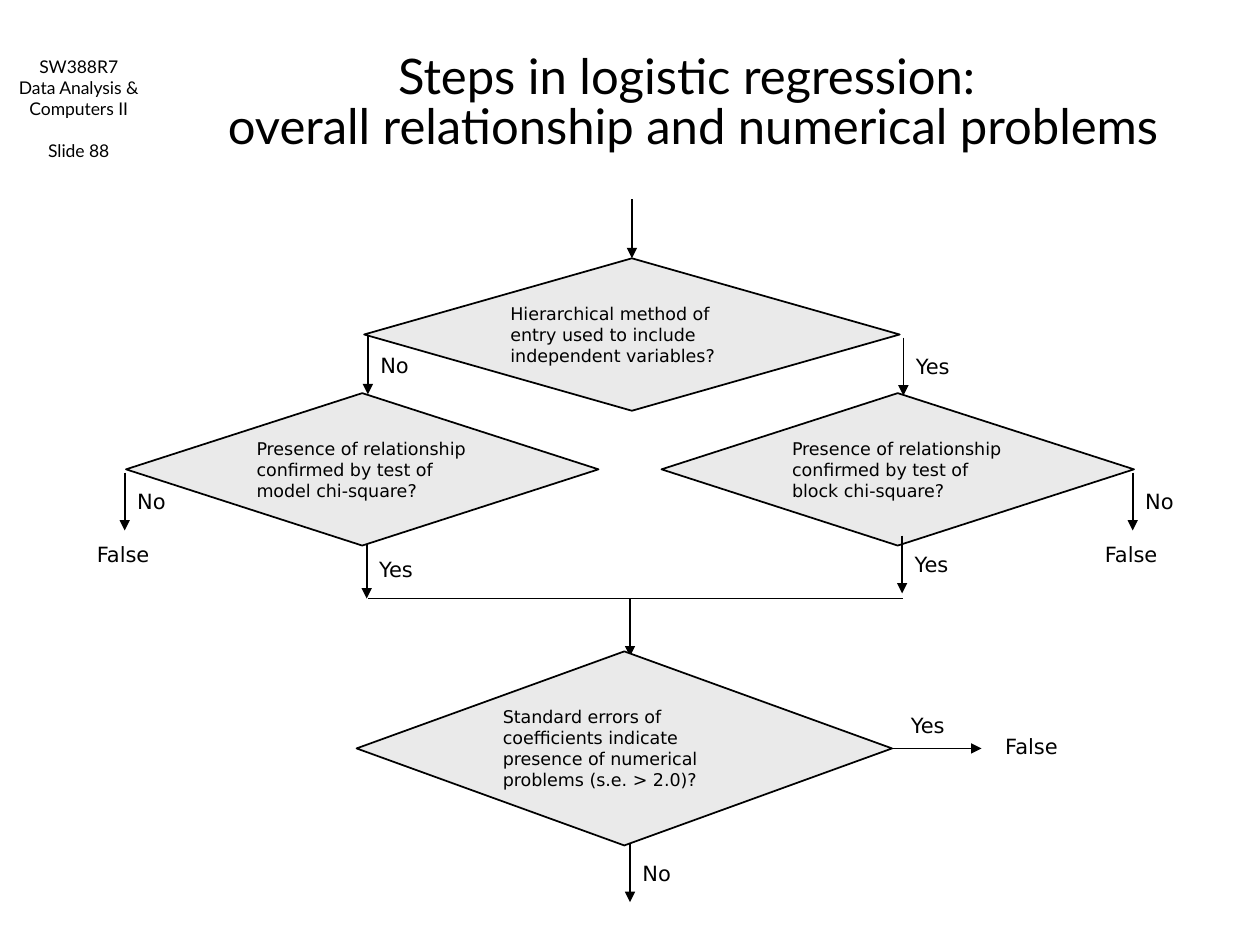
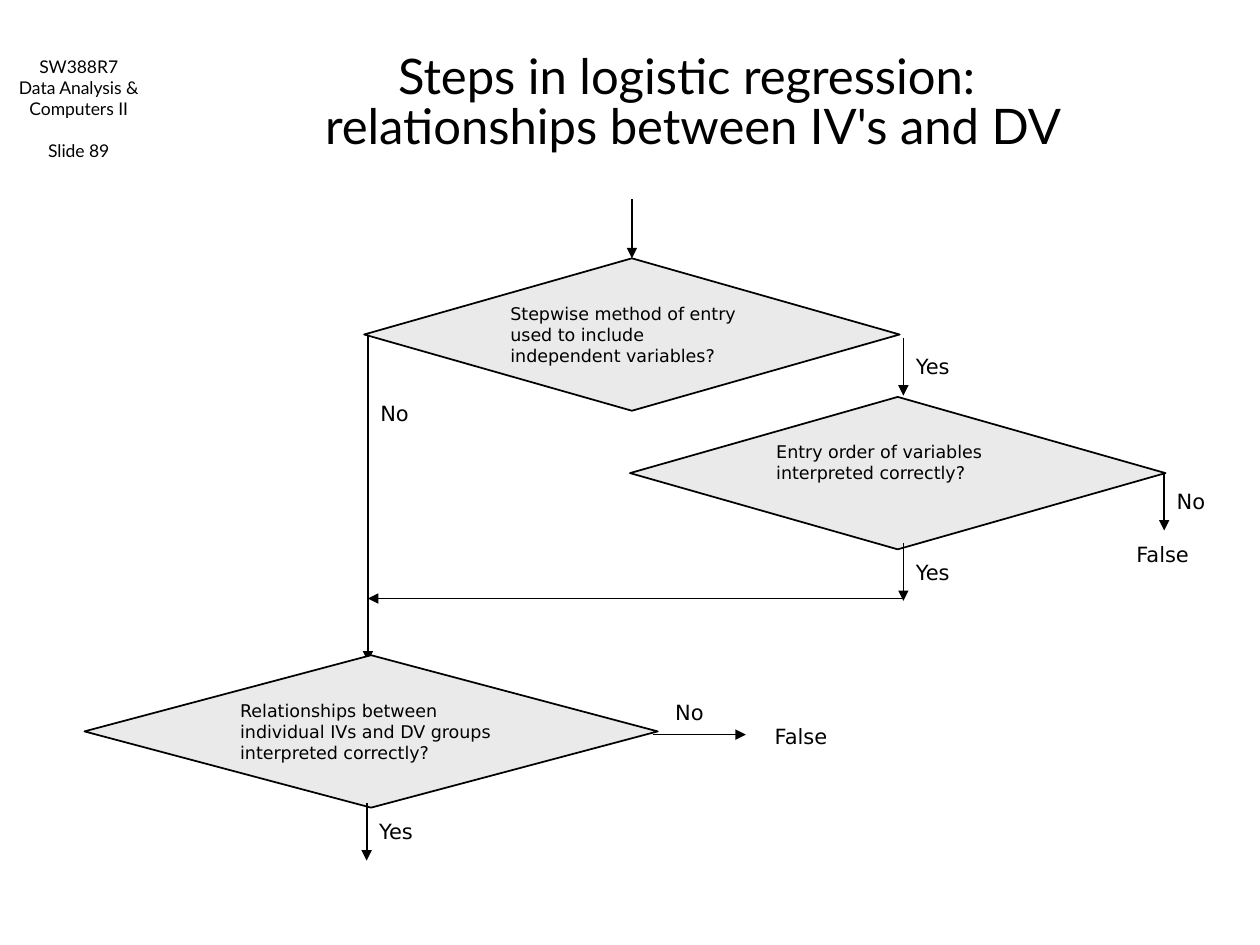
from dataclasses import dataclass

from pptx import Presentation
from pptx.dml.color import RGBColor
from pptx.enum.shapes import MSO_CONNECTOR, MSO_SHAPE
from pptx.enum.text import MSO_ANCHOR, PP_ALIGN
from pptx.oxml.ns import qn
from pptx.util import Inches, Pt
from lxml import etree

STRAIGHT = MSO_CONNECTOR.STRAIGHT
DIAMOND = MSO_SHAPE.FLOWCHART_DECISION
TOP, MIDDLE, BOTTOM = MSO_ANCHOR.TOP, MSO_ANCHOR.MIDDLE, MSO_ANCHOR.BOTTOM
LEFT, CENTER = PP_ALIGN.LEFT, PP_ALIGN.CENTER
TOP_SIDE, RIGHT_SIDE = 0, 3


@dataclass(frozen=True)
class Theme:
    ink: RGBColor = RGBColor(0, 0, 0)
    fill: RGBColor = RGBColor(0xEA, 0xEA, 0xEA)
    head: str = "Lato"
    body: str = "DejaVu Sans"
    title: int = 28
    small: int = 10
    label: int = 12
    line: float = 1
    thin: float = 0.75


THEME = Theme()
COURSE_BOX = (0, 0.33, 1.25, 1)
TITLE_BOX = (1.25, 0.33, 8.5, 1)
FIRST_BOX = (2.89, 2.05, 4.25, 1.21)
DROP = 0.46
REACH = 0.74


def inches(box):
    return [Inches(n) for n in box]


def write(shape, lines, font, size, align=LEFT, anchor=TOP):
    frame = shape.text_frame
    frame.word_wrap = True
    frame.vertical_anchor = anchor
    frame.text = "\n".join(lines)
    for para in frame.paragraphs:
        para.alignment = align
        para.font.name = font
        para.font.size = Pt(size)
        para.font.color.rgb = THEME.ink
    return frame


def add_text(slide, box, lines, font, size, **place):
    return write(slide.shapes.add_textbox(*inches(box)), lines, font, size, **place)


def add_label(slide, x, y, text, width=0.51):
    add_text(slide, (x, y, width, 0.3), [text], THEME.body, THEME.label)


def add_false(slide, x, y):
    add_label(slide, x, y, "False", 0.7)


def add_line(slide, start, end, arrow=True, width=THEME.line):
    line = slide.shapes.add_connector(STRAIGHT, *inches(start + end))
    line.line.color.rgb = THEME.ink
    line.line.width = Pt(width)
    props = line._element.spPr
    if arrow:
        tail = etree.SubElement(props.find(qn("a:ln")), qn("a:tailEnd"))
        tail.set("type", "triangle")
    etree.SubElement(props, qn("a:effectLst"))
    return line


def add_choice(slide, box, text):
    """Draw a decision diamond that asks a question."""
    shape = slide.shapes.add_shape(DIAMOND, *inches(box))
    shape.shadow.inherit = False
    shape.fill.solid()
    shape.fill.fore_color.rgb = THEME.fill
    shape.line.color.rgb = THEME.ink
    shape.line.width = Pt(THEME.line)
    write(shape, [text], THEME.body, THEME.small, anchor=MIDDLE)
    return shape


def add_drop(slide, x, y, text, length=DROP, gap=0.08):
    """Draw a labelled arrow that leads down."""
    add_line(slide, (x, y), (x, y + length))
    add_label(slide, x, y + gap, text)


def add_reject(slide, x, y):
    """Draw a No arrow that leads down to False."""
    add_drop(slide, x, y, "No")
    add_false(slide, x - 0.32, y + 0.5)


def add_side(slide, x, y, text):
    """Draw a labelled arrow that leads right."""
    line = add_line(slide, (x, y), (x + REACH, y))
    add_label(slide, x + 0.08, y - 0.33, text)
    return line


def add_first(slide, text):
    """Draw the first question and the arrow that enters it."""
    left, top, width, _ = FIRST_BOX
    mid = left + width / 2
    entry = add_line(slide, (mid, 1.58), (mid, top))
    entry.end_connect(add_choice(slide, FIRST_BOX, text), TOP_SIDE)
    add_drop(slide, 7.17, 2.68, "Yes")


def add_frame(deck, number, topic):
    """Add a slide with its course note and title."""
    slide = deck.slides.add_slide(deck.slide_layouts[6])
    course = ["SW388R7", "Data Analysis & Computers II", f"Slide {number}"]
    note = add_text(slide, COURSE_BOX, course, THEME.head, THEME.small,
                    align=CENTER, anchor=BOTTOM)
    note.paragraphs[-1].space_before = Pt(12)
    title = add_text(slide, TITLE_BOX, [f"Steps in logistic regression: \v{topic}"],
                     THEME.head, THEME.title, align=CENTER, anchor=MIDDLE)
    title.paragraphs[0].line_spacing = 0.85
    return slide


def add_overall(deck):
    slide = add_frame(deck, 88, "overall relationship and numerical problems")
    add_drop(slide, 2.91, 4.29, "Yes")
    add_drop(slide, 2.92, 2.67, "No")
    for left, test in ((1, "model"), (5.25, "block")):
        add_choice(slide, (left, 3.12, 3.75, 1.21),
                   f"Presence of relationship confirmed by test of {test} chi-square?")
    add_first(slide, "Hierarchical method of entry used to include independent variables?")
    for x in (0.99, 8.99):
        add_reject(slide, x, 3.75)
    add_drop(slide, 7.16, 4.25, "Yes")

    add_line(slide, (2.92, 4.75), (7.17, 4.75), arrow=False, width=THEME.thin)
    add_line(slide, (5, 4.75), (5, 5.21))
    add_drop(slide, 5, 6.7, "No")
    errors = add_choice(slide, (2.83, 5.17, 4.25, 1.54),
                        "Standard errors of coefficients indicate presence of "
                        "numerical problems (s.e. > 2.0)?")
    add_side(slide, 7.05, 5.94, "Yes").begin_connect(errors, RIGHT_SIDE)
    add_false(slide, 7.88, 5.77)


def add_effects(deck):
    slide = add_frame(deck, 89, "relationships between IV's and DV")
    add_first(slide, "Stepwise method of entry used to include independent variables?")
    add_drop(slide, 2.92, 2.67, "No", length=2.58, gap=0.46)
    order = add_choice(slide, (5, 3.15, 4.25, 1.21),
                       "Entry order of variables interpreted correctly?")
    order.text_frame.margin_bottom = Inches(0.22)
    add_drop(slide, 7.17, 4.31, "Yes")
    add_reject(slide, 9.24, 3.75)
    add_line(slide, (7.16, 4.75), (2.92, 4.75))

    add_choice(slide, (0.67, 5.2, 4.55, 1.21),
               "Relationships between individual IVs and DV groups "
               "interpreted correctly?")
    add_side(slide, 5.18, 5.83, "No")
    add_false(slide, 6.05, 5.69)
    add_drop(slide, 2.91, 6.37, "Yes")


def main():
    deck = Presentation()
    deck.slide_width, deck.slide_height = Inches(10), Inches(7.5)
    add_overall(deck)
    add_effects(deck)
    deck.save("out.pptx")


if __name__ == "__main__":
    main()
